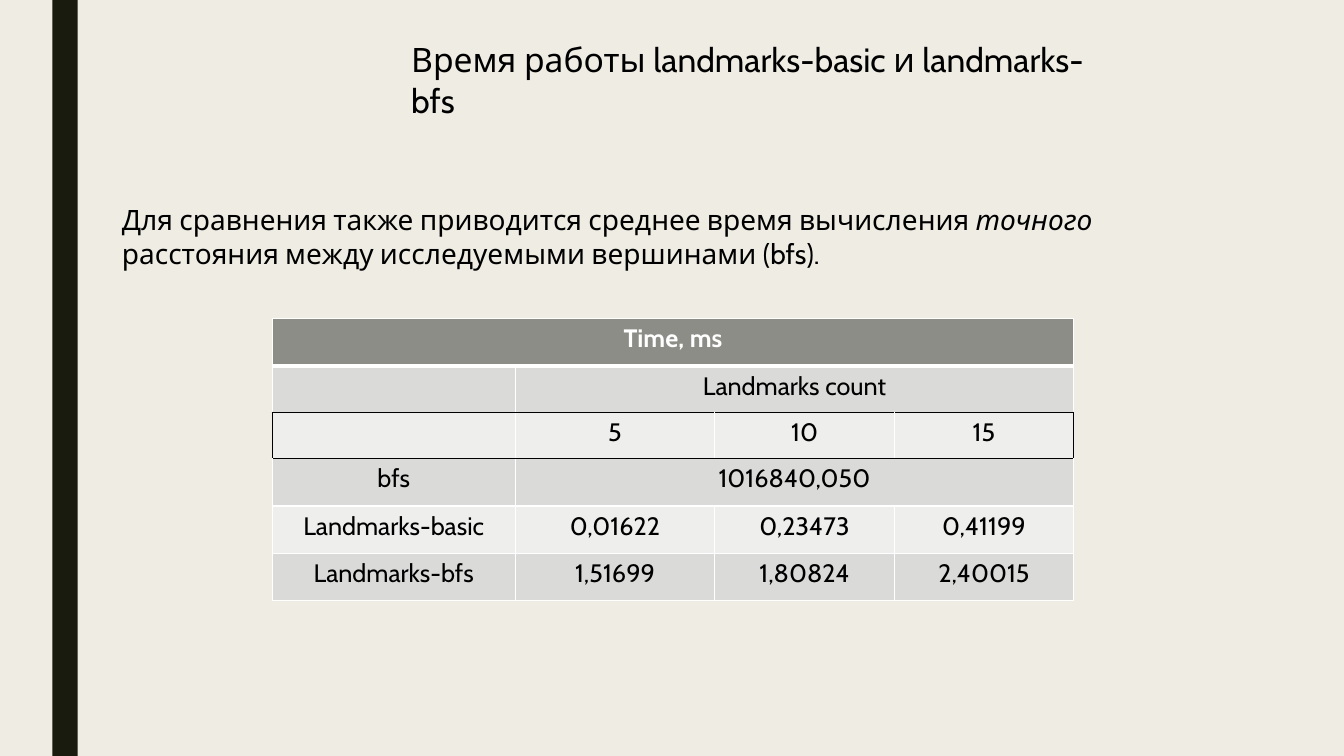
"""Build a slide comparing the running time of landmark algorithms."""
from lxml.etree import SubElement
from pptx import Presentation
from pptx.dml.color import RGBColor
from pptx.enum.shapes import MSO_SHAPE
from pptx.enum.text import PP_ALIGN
from pptx.oxml.ns import qn
from pptx.util import Inches, Pt

TITLE = [("Время работы landmarks-basic и landmarks-bfs", False)]
NOTE = [
    ("Для сравнения также приводится среднее время вычисления ", False),
    ("точного", True),
    (" расстояния между исследуемыми вершинами (bfs).", False),
]
ROWS = [
    ["Time, ms", "", "", ""],
    ["", "Landmarks count", "", ""],
    ["", "5", "10", "15"],
    ["bfs", "1016840,050", "", ""],
    ["Landmarks-basic", "0,01622", "0,23473", "0,41199"],
    ["Landmarks-bfs", "1,51699", "1,80824", "2,40015"],
]
MERGE_FROM = {0: 0, 1: 1, 3: 1}
COL_WIDTHS = [2.41, 1.98, 1.78, 1.78]
ROW_HEIGHTS = [0.47, 0.46, 0.46, 0.47, 0.47, 0.47]
COUNT_ROW = 2

FONT = "Cabin"
BACKGROUND = RGBColor(0xEF, 0xED, 0xE3)
STRIPE = RGBColor(0x19, 0x1B, 0x0E)
BLACK = RGBColor(0, 0, 0)
WHITE = RGBColor(0xFF, 0xFF, 0xFF)
HEADER = RGBColor(0x8C, 0x8D, 0x86)
BANDS = [RGBColor(0xEE, 0xEE, 0xED), RGBColor(0xDA, 0xDB, 0xD9)]


def style_run(r, size, color, bold=False, italic=False):
    r.font.name = FONT
    r.font.size = Pt(size)
    r.font.color.rgb = color
    r.font.bold = bold
    r.font.italic = italic


def add_text(slide, box, runs, size):
    tf = slide.shapes.add_textbox(*map(Inches, box)).text_frame
    tf.word_wrap = True
    for text, italic in runs:
        r = tf.paragraphs[0].add_run()
        r.text = text
        style_run(r, size, BLACK, italic=italic)


def add_border(cell, side, color, width):
    ln = SubElement(cell._tc.get_or_add_tcPr(), qn(f"a:ln{side}"), w=str(Pt(width)))
    fill = SubElement(ln, qn("a:solidFill"))
    SubElement(fill, qn("a:srgbClr"), val=str(color))


def style_cell(cell, row, col, text):
    black_sides = {
        "L": row == COUNT_ROW and col == 0,
        "R": row == COUNT_ROW and col == len(COL_WIDTHS) - 1,
        "T": row in (COUNT_ROW, COUNT_ROW + 1),
        "B": row in (COUNT_ROW - 1, COUNT_ROW),
    }
    for side, is_black in black_sides.items():
        width = 3 if row == 0 and side == "B" else 1
        add_border(cell, side, BLACK if is_black else WHITE, width)
    cell.fill.solid()
    cell.fill.fore_color.rgb = BANDS[row % 2] if row else HEADER
    if text:
        p = cell.text_frame.paragraphs[0]
        p.text = text
        p.alignment = PP_ALIGN.CENTER
        style_run(p.runs[0], 18, BLACK if row else WHITE, bold=row == 0)


def add_times(slide):
    box = (2.7, 3.16, sum(COL_WIDTHS), sum(ROW_HEIGHTS))
    table = slide.shapes.add_table(
        len(ROWS), len(COL_WIDTHS), *map(Inches, box)).table
    for column, width in zip(table.columns, COL_WIDTHS):
        column.width = Inches(width)
    for table_row, height in zip(table.rows, ROW_HEIGHTS):
        table_row.height = Inches(height)
    for row, texts in enumerate(ROWS):
        for col, text in enumerate(texts):
            style_cell(table.cell(row, col), row, col, text)
    for row, col in MERGE_FROM.items():
        table.cell(row, col).merge(table.cell(row, len(COL_WIDTHS) - 1))


def main():
    prs = Presentation()
    prs.slide_width, prs.slide_height = Inches(13.33), Inches(7.5)
    slide = prs.slides.add_slide(prs.slide_layouts[6])
    slide.background.fill.solid()
    slide.background.fill.fore_color.rgb = BACKGROUND

    stripe = slide.shapes.add_shape(
        MSO_SHAPE.RECTANGLE, Inches(0.52), 0, Inches(0.25), prs.slide_height)
    stripe.shadow.inherit = False
    stripe.fill.solid()
    stripe.fill.fore_color.rgb = STRIPE
    stripe.line.fill.background()

    add_text(slide, (3.98, 0.34, 7.1, 0.5), TITLE, 24)
    add_text(slide, (1.11, 1.96, 10.94, 0.77), NOTE, 20)
    add_times(slide)
    prs.save("out.pptx")


if __name__ == "__main__":
    main()
